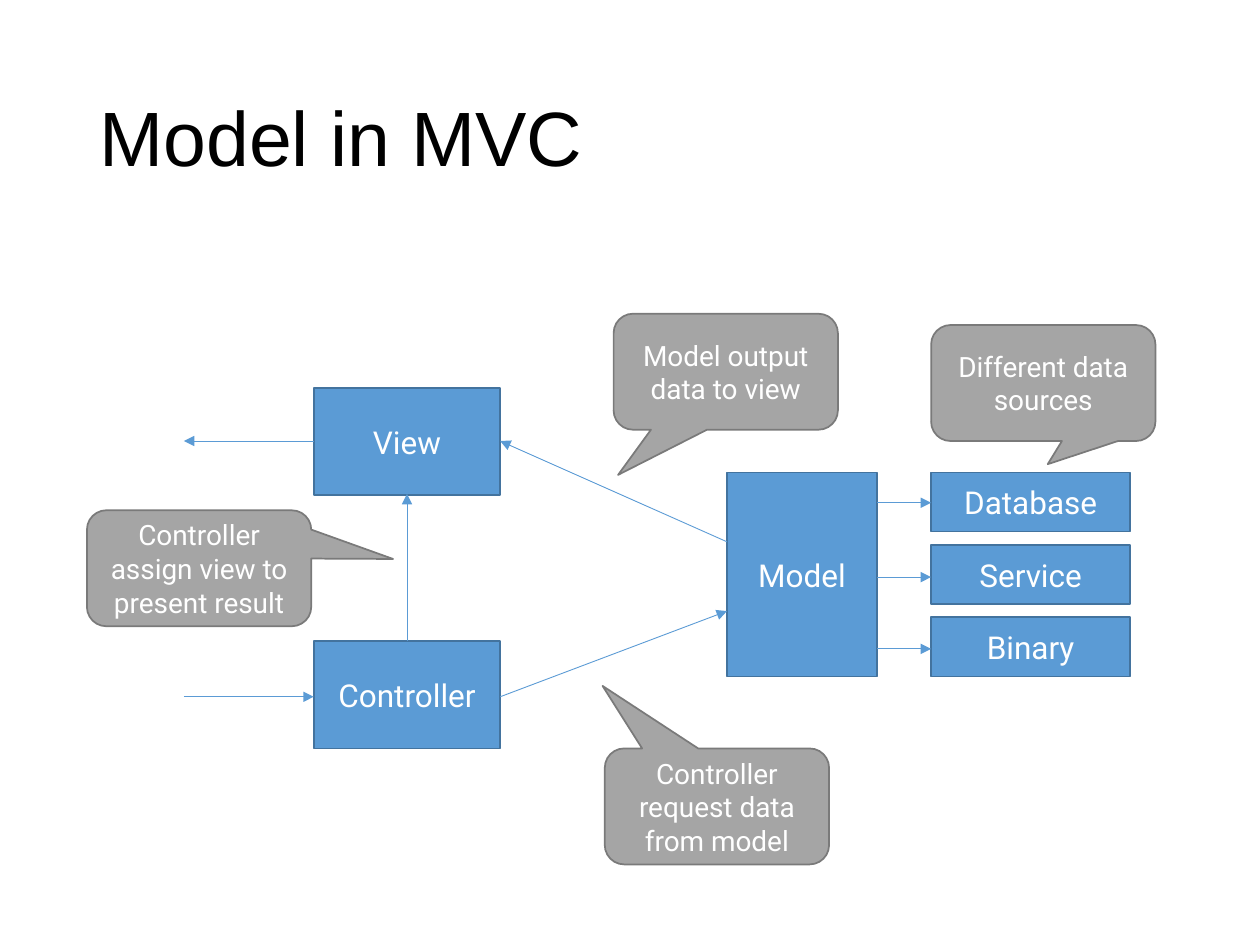
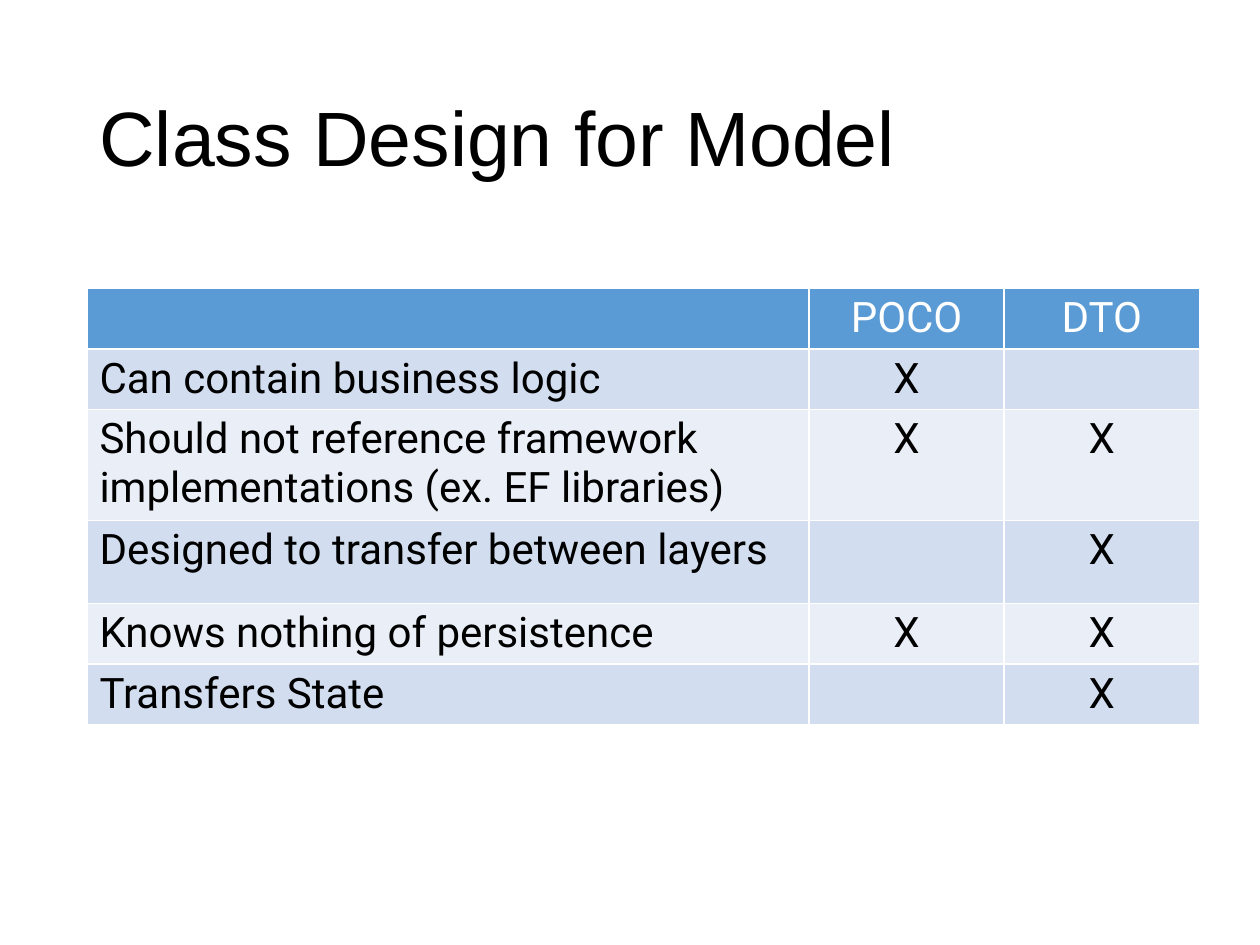
from lxml import etree
from pptx import Presentation
from pptx.dml.color import RGBColor
from pptx.enum.shapes import MSO_CONNECTOR, MSO_SHAPE
from pptx.enum.text import MSO_ANCHOR, PP_ALIGN
from pptx.oxml import parse_xml
from pptx.oxml.ns import nsdecls, qn
from pptx.util import Inches, Pt

BLACK = RGBColor(0x00, 0x00, 0x00)
WHITE = RGBColor(0xFF, 0xFF, 0xFF)
BLUE = RGBColor(0x5B, 0x9B, 0xD5)
BLUE_EDGE = RGBColor(0x43, 0x73, 0x9E)
GRAY = RGBColor(0xA5, 0xA5, 0xA5)
GRAY_EDGE = RGBColor(0x7A, 0x7A, 0x7A)
BAND_DARK = RGBColor(0xD2, 0xDE, 0xEF)
BAND_LIGHT = RGBColor(0xEA, 0xEF, 0xF7)

TITLE_FONT = {"name": "Arial", "size": Pt(44), "bold": False}
BOX_FONT = {"name": "Roboto", "size": Pt(18), "bold": False}
CALLOUT_FONT = {"name": "Roboto", "size": Pt(16), "bold": False}
TABLE_FONT = {"name": "Roboto", "size": Pt(24), "bold": False}


def write(frame, text, font_format, color, align=PP_ALIGN.CENTER):
    frame.word_wrap = True
    paragraph = frame.paragraphs[0]
    paragraph.alignment = align
    run = paragraph.add_run()
    run.text = text
    for attribute, value in font_format.items():
        setattr(run.font, attribute, value)
    run.font.color.rgb = color
    return paragraph


def add_block(slide, kind, bounds, text, font_format, fill, edge):
    block = slide.shapes.add_shape(kind, *map(Inches, bounds))
    block.shadow.inherit = False
    block.fill.solid()
    block.fill.fore_color.rgb = fill
    block.line.color.rgb = edge
    block.line.width = Pt(1)
    block.text_frame.vertical_anchor = MSO_ANCHOR.MIDDLE
    write(block.text_frame, text, font_format, WHITE)
    return block


presentation = Presentation()
presentation.slide_width = Inches(10)
presentation.slide_height = Inches(7.5)

# Slides with their shared title style
slides = []
for heading in ("Model in MVC", "Class Design for Model"):
    slide = presentation.slides.add_slide(presentation.slide_layouts[6])
    title = slide.shapes.add_textbox(Inches(0.69), Inches(0.4), Inches(8.62), Inches(1.45))
    title.text_frame.vertical_anchor = MSO_ANCHOR.MIDDLE
    write(title.text_frame, heading, TITLE_FONT, BLACK, PP_ALIGN.LEFT).line_spacing = 0.9
    slides.append(slide)
mvc_slide, design_slide = slides

# MVC parts and data sources
parts = [
    ("Model", (5.77, 3.75, 1.19, 1.62)),
    ("View", (2.49, 3.08, 1.48, 0.85)),
    ("Controller", (2.49, 5.09, 1.48, 0.85)),
]
for row, source in enumerate(("Database", "Service", "Binary")):
    parts.append((source, (7.39, 3.75 + row * 0.575, 1.58, 0.47)))
for name, bounds in parts:
    add_block(mvc_slide, MSO_SHAPE.RECTANGLE, bounds, name, BOX_FONT, BLUE, BLUE_EDGE)

# Arrows: start x, start y, end x, end y
flows = [(6.96, y, 7.39, y) for y in (3.99, 4.58, 5.15)]  # model to sources
flows += [
    (3.97, 5.53, 5.77, 4.85),  # controller to model
    (5.77, 4.3, 3.97, 3.5),    # model to view
    (3.23, 5.09, 3.23, 3.92),  # controller to view
    (1.46, 5.53, 2.49, 5.53),  # request in
    (2.49, 3.5, 1.46, 3.5),    # response out
]
for ends in flows:
    arrow = mvc_slide.shapes.add_connector(MSO_CONNECTOR.STRAIGHT, *map(Inches, ends))
    arrow.line.color.rgb = BLUE
    arrow.line.width = Pt(0.5)
    etree.SubElement(arrow.line._get_or_add_ln(), qn("a:tailEnd"), type="triangle")
    etree.SubElement(arrow._element.spPr, qn("a:effectLst"))

# Callouts: text, left, top, pointer offset
callouts = [
    ("Different data sources", 7.39, 2.58, (0.02, 0.7)),
    ("Controller request data from model", 4.8, 5.94, (-0.51, -1.04)),
    ("Model output data to view", 4.87, 2.49, (-0.48, 0.89)),
    ("Controller assign view to present result", 0.69, 4.05, (0.865, -0.08)),
]
for remark, left, top, pointer in callouts:
    callout = add_block(mvc_slide, MSO_SHAPE.ROUNDED_RECTANGULAR_CALLOUT,
                        (left, top, 1.78, 0.92), remark, CALLOUT_FONT, GRAY, GRAY_EDGE)
    callout.adjustments[0], callout.adjustments[1] = pointer

# Comparison table
comparison = [
    ("", "POCO", "DTO"),
    ("Can contain business logic", "X", ""),
    ("Should not reference framework implementations (ex. EF libraries)", "X", "X"),
    ("Designed to transfer between layers", "", "X"),
    ("Knows nothing of persistence", "X", "X"),
    ("Transfers State", "", "X"),
]
column_widths = (5.73, 1.55, 1.55)
row_heights = (0.46, 0.46, 0.86, 0.66, 0.46, 0.46)
table = design_slide.shapes.add_table(
    len(comparison), len(column_widths), Inches(0.69), Inches(2.29),
    Inches(sum(column_widths)), Inches(sum(row_heights))).table
for column, width in zip(table.columns, column_widths):
    column.width = Inches(width)
for row, height in zip(table.rows, row_heights):
    row.height = Inches(height)

for row_index, entries in enumerate(comparison):
    if row_index == 0:
        fill, color = BLUE, WHITE
    else:
        fill, color = (BAND_DARK if row_index % 2 else BAND_LIGHT), BLACK
    for column_index, entry in enumerate(entries):
        cell = table.cell(row_index, column_index)
        cell.margin_top = cell.margin_bottom = Inches(0.04)
        if entry:
            align = PP_ALIGN.CENTER if column_index else PP_ALIGN.LEFT
            write(cell.text_frame, entry, TABLE_FONT, color, align)
        properties = cell._tc.get_or_add_tcPr()
        for side in ("lnL", "lnR", "lnT", "lnB"):
            properties.append(parse_xml(
                f'<a:{side} {nsdecls("a")} w="{Pt(1)}"><a:solidFill>'
                f'<a:srgbClr val="{WHITE}"/></a:solidFill></a:{side}>'))
        cell.fill.solid()
        cell.fill.fore_color.rgb = fill

presentation.save("out.pptx")
